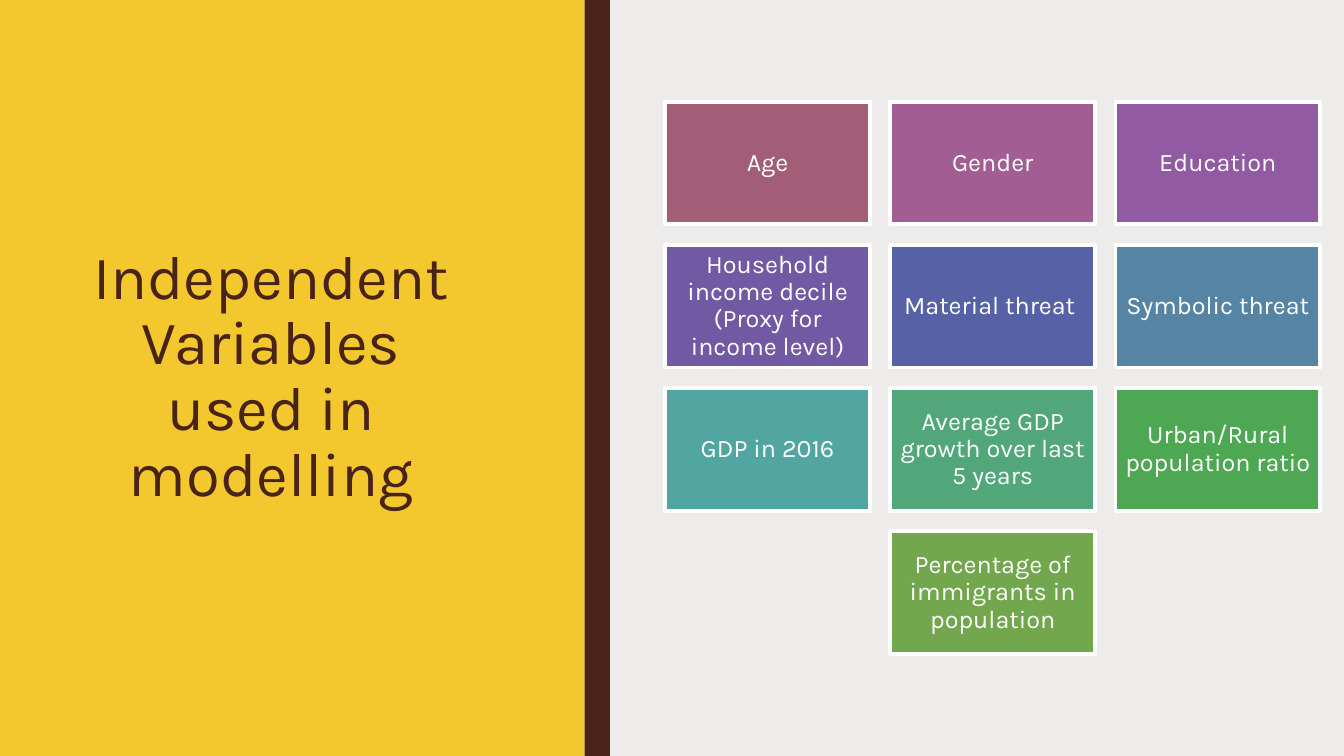
from dataclasses import dataclass

from pptx import Presentation
from pptx.dml.color import RGBColor
from pptx.enum.shapes import MSO_SHAPE
from pptx.enum.text import MSO_ANCHOR, MSO_AUTO_SIZE, PP_ALIGN
from pptx.shapes.autoshape import Shape
from pptx.slide import Slide
from pptx.util import Pt

SLIDE_WIDTH, SLIDE_HEIGHT = 960, 540
BROWN, YELLOW, WHITE, PALE_GREY = "4A2318", "F3C82E", "FFFFFF", "EDECEB"

# Grid of variables, in points
COLUMNS = 3
GRID_LEFT, GRID_TOP = 475.2, 72.6
TILE_WIDTH, TILE_HEIGHT, GAP = 146.2, 87.7, 14.6


@dataclass(frozen=True)
class Box:
    left: float
    top: float
    width: float
    height: float


@dataclass(frozen=True)
class Variable:
    label: str
    color: str


VARIABLES = [
    Variable("Age", "A25E76"),
    Variable("Gender", "A25D92"),
    Variable("Education", "915AA3"),
    Variable("Household income decile (Proxy for income level)", "7159A4"),
    Variable("Material threat ", "5662A5"),
    Variable("Symbolic threat", "5584A5"),
    Variable("GDP in 2016", "52A6A1"),
    Variable("Average GDP growth over last 5 years", "51A67A"),
    Variable("Urban/Rural population ratio", "4EA752"),
    Variable("Percentage of immigrants in population", "73A74D"),
]


def rgb(color: str) -> RGBColor:
    return RGBColor.from_string(color)


def add_rectangle(slide: Slide, box: Box, fill: str, line: str | None = None) -> Shape:
    rectangle = slide.shapes.add_shape(
        MSO_SHAPE.RECTANGLE, Pt(box.left), Pt(box.top), Pt(box.width), Pt(box.height)
    )
    rectangle.shadow.inherit = False
    rectangle.fill.solid()
    rectangle.fill.fore_color.rgb = rgb(fill)
    if line:
        rectangle.line.color.rgb = rgb(line)
        rectangle.line.width = Pt(2.75)
    else:
        rectangle.line.fill.background()
    return rectangle


def write(shape: Shape, text: str, *, size: float, color: str, spacing: float,
          inset_x: float, inset_y: float) -> None:
    frame = shape.text_frame
    frame.text = text
    frame.word_wrap = True
    frame.auto_size = MSO_AUTO_SIZE.NONE
    frame.vertical_anchor = MSO_ANCHOR.MIDDLE
    frame.margin_left = frame.margin_right = Pt(inset_x)
    frame.margin_top = frame.margin_bottom = Pt(inset_y)
    paragraph = frame.paragraphs[0]
    paragraph.alignment = PP_ALIGN.CENTER
    paragraph.line_spacing = spacing
    font = paragraph.runs[0].font
    font.name, font.size, font.color.rgb = "Karla", Pt(size), rgb(color)


def tile_box(index: int) -> Box:
    """Place a tile in the grid, centring a row that is not full."""
    row, column = divmod(index, COLUMNS)
    in_row = min(COLUMNS, len(VARIABLES) - row * COLUMNS)
    offset = column + (COLUMNS - in_row) / 2
    return Box(GRID_LEFT + offset * (TILE_WIDTH + GAP),
               GRID_TOP + row * (TILE_HEIGHT + GAP), TILE_WIDTH, TILE_HEIGHT)


def main() -> None:
    presentation = Presentation()
    presentation.slide_width, presentation.slide_height = Pt(SLIDE_WIDTH), Pt(SLIDE_HEIGHT)
    slide = presentation.slides.add_slide(presentation.slide_layouts[5])
    slide.background.fill.solid()
    slide.background.fill.fore_color.rgb = rgb(PALE_GREY)

    # Title panel and its edge
    add_rectangle(slide, Box(0, 0, 417.6, SLIDE_HEIGHT), YELLOW)
    edge = add_rectangle(slide, Box(417.6, 0, 18, SLIDE_HEIGHT), BROWN)

    # Title, brought in front of the panel
    title = slide.shapes.title
    edge.element.addnext(title.element)
    title.left, title.top, title.width, title.height = Pt(50.4), Pt(50.4), Pt(286.6), Pt(439.2)
    write(title, "Independent Variables used in modelling", size=44, color=BROWN,
          spacing=0.89, inset_x=7.2, inset_y=3.6)

    # Variable tiles
    for index, variable in enumerate(VARIABLES):
        tile = add_rectangle(slide, tile_box(index), variable.color, line=WHITE)
        write(tile, variable.label, size=18, color=WHITE, spacing=0.9, inset_x=5, inset_y=5)

    presentation.save("out.pptx")


if __name__ == "__main__":
    main()
